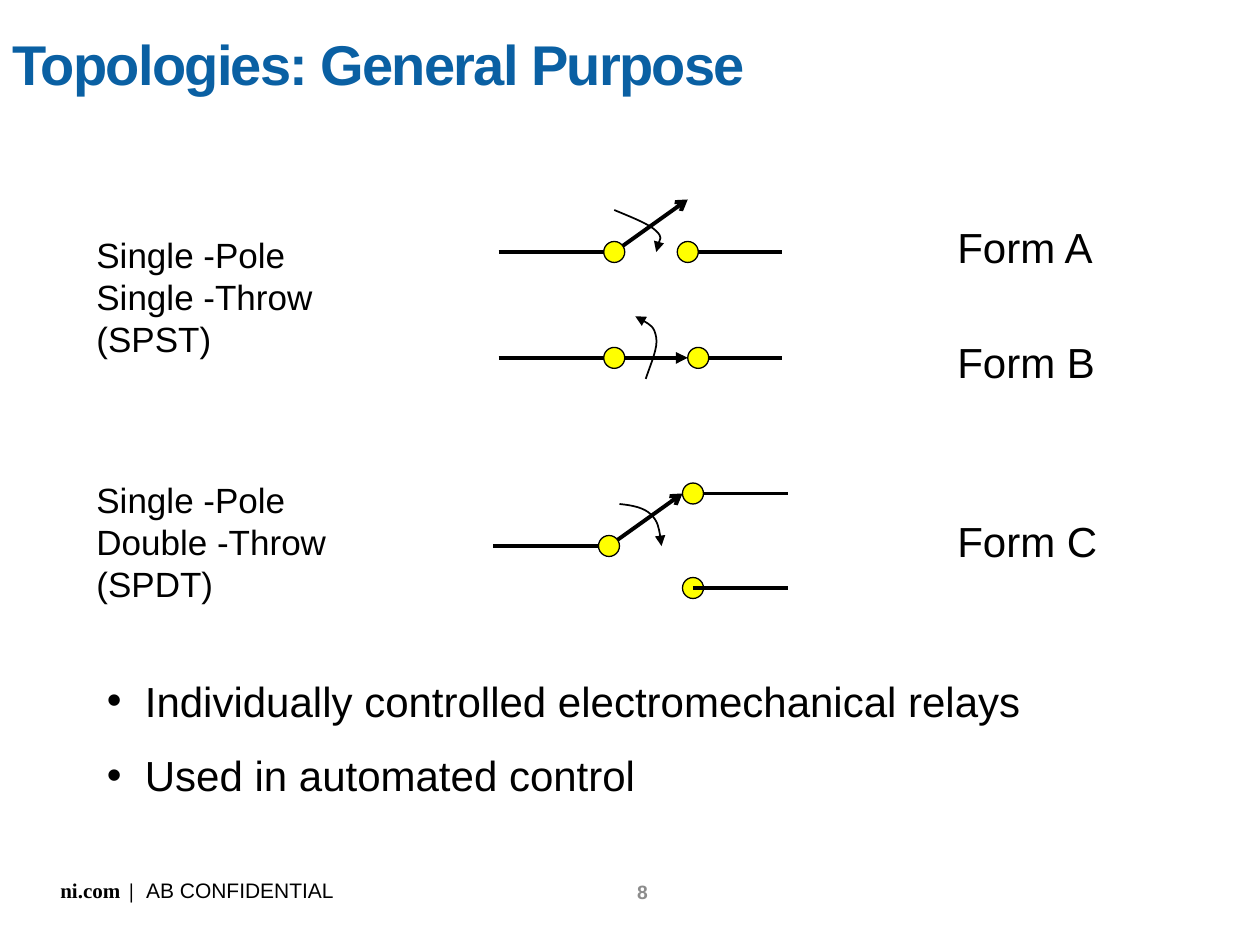
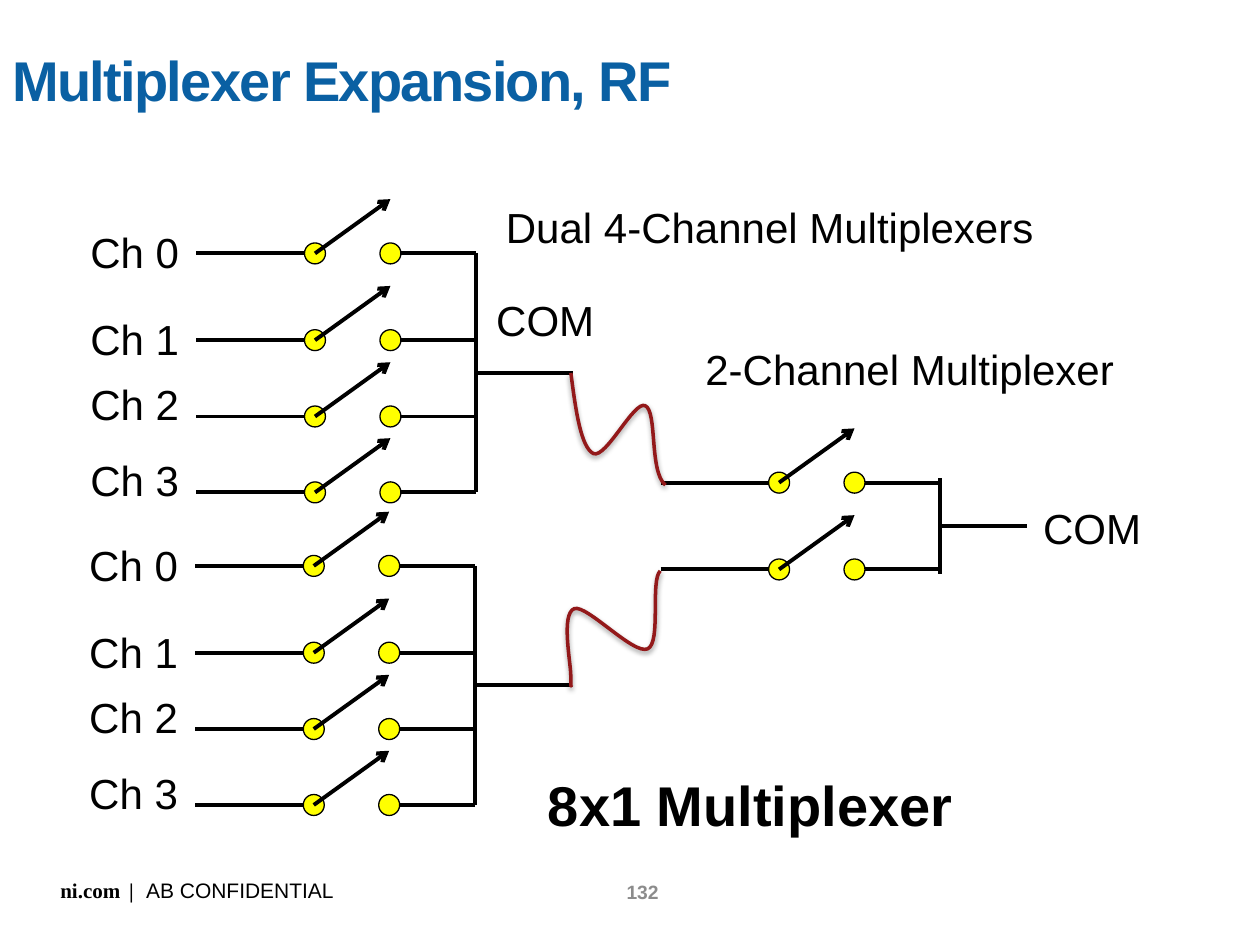
from lxml import etree
from pptx import Presentation
from pptx import util as u
from pptx.dml import color
from pptx.enum import shapes, text
from pptx.oxml import ns

BLACK, BLUE, GRAY, YELLOW, RED = "000000", "0A60A3", "8C8C8C", "FFFF00", "93191A"
BODY = {"name": "Arial", "size": 24, "bold": False, "color": BLACK}
SMALL = {**BODY, "size": 20}
HEADLINE = {**BODY, "size": 32, "bold": True}
TITLE = {**HEADLINE, "color": BLUE}
PAGE = {**BODY, "size": 11, "bold": True, "color": GRAY}
CONFIDENTIAL = {**BODY, "size": 12}
SITE = {**CONFIDENTIAL, "name": "Times New Roman", "bold": True}

WIRE, THIN, CABLE = 2.25, 1, 2
DOT = 12
INDENT = 21.7

RELAY_LABELS = [
    ("Single -Pole Single -Throw (SPST)", (48, 129.6, 162, 79), SMALL),
    ("Single -Pole Double -Throw (SPDT)", (48, 270, 162, 79), SMALL),
    ("Form A", (540, 123, 102, 36), BODY),
    ("Form B", (540, 188.6, 102, 36), BODY),
    ("Form C", (540, 291, 102, 36), BODY),
]
RELAY_NOTES = ["Individually controlled electromechanical relays", "Used in automated control"]
RELAYS = [
    {
        "wires": [(285, 144, 351, 144), (393, 144, 447, 144)],
        "arm": (351, 144, 393, 114, "arrow"),
        "dots": [(351, 144), (393, 144)],
        "motion": [(351, 120), (360.5, 124), (371, 128), (375, 132),
                   (379, 136), (375, 142), (375, 144)],
    },
    {
        "wires": [(285, 204.5, 351, 204.5), (393, 204.5, 447, 204.5)],
        "arm": (351, 204.5, 393, 204.5, "triangle"),
        "dots": [(351, 204.5), (399, 204.5)],
        "motion": [(369, 216.5), (372, 207.5), (376, 198.7), (375, 193),
                   (374, 186.5), (368.6, 183.6), (363, 180.7)],
    },
    {
        "wires": [(282, 312, 348, 312), (396, 282, 450, 282)],
        "arm": (348, 312, 390, 282, "arrow"),
        "dots": [(348, 312), (396, 282), (396, 336)],
        "top_wires": [(396, 336, 450, 336)],
        "motion": [(354, 288), (361, 288.7), (368, 290), (372, 294),
                   (376, 298), (377.3, 305), (378, 312)],
    },
]

MUX_LABELS = [
    ("Dual 4-Channel Multiplexers", (282, 111.6, 345, 36), BODY),
    ("COM", (276.5, 165, 116, 37), BODY),
    ("2-Channel Multiplexer", (396, 193, 264, 36), BODY),
    ("COM", (589, 283.7, 116, 37), BODY),
    ("8x1 Multiplexer", (306, 437, 326, 46), HEADLINE),
]
CHANNELS = [("Ch 0", 0, 18.9), ("Ch 1", 49.6, 18.7), ("Ch 2", 93.2, 25), ("Ch 3", 136.6, 25.2)]
MUXES = [
    {"left": 112.3, "top": 144.8, "channels": 4, "overhang": 0, "stub": 55.4, "labelled": True},
    {"left": 111.6, "top": 323.4, "channels": 4, "overhang": 0, "stub": 55.4, "labelled": True},
    {"left": 377.5, "top": 275.8, "channels": 2, "overhang": 2.4, "stub": 49.7, "labelled": False},
]
POLE, THROW, BUS, RISE = 67.7, 110.8, 159.8, 31
CABLES = [
    [(326.2, 213.1), (329, 234.7), (331.9, 255.6), (339.1, 259.2), (346.3, 262.1),
     (362.2, 229), (368.6, 231.8), (375.8, 234.7), (370.8, 269.3), (380.2, 277.2)],
    [(326.6, 391.5), (326.2, 392.4), (326.2, 393.1), (326.2, 385.9), (326.2, 378.7),
     (320.4, 350.6), (328.3, 347.8), (335.5, 345.6), (362.2, 374.4), (370.1, 370.8),
     (378, 367.2), (371.5, 331.9), (377.3, 326.2)],
]


def rgb(value):
    return color.RGBColor.from_string(value)


def points(values):
    return [u.Pt(value) for value in values]


def child(parent, tag, **attributes):
    return etree.SubElement(parent, ns.qn(tag), attributes)


def add_run(paragraph, words, style, spacing=0):
    run = paragraph.add_run()
    run.text = words
    values = {"name": style["name"], "size": u.Pt(style["size"]), "bold": style["bold"]}
    for name, value in values.items():
        setattr(run.font, name, value)
    run.font.color.rgb = rgb(style["color"])
    if spacing:
        run._r.get_or_add_rPr().set("spc", str(spacing))


def add_box(slide, place, wrap=True, middle=False):
    frame = slide.shapes.add_textbox(*points(place)).text_frame
    frame.word_wrap = wrap
    if middle:
        frame.vertical_anchor = text.MSO_ANCHOR.MIDDLE
    return frame


def add_labels(slide, labels):
    for words, place, style in labels:
        add_run(add_box(slide, place).paragraphs[0], words, style)


def add_bullets(slide, place, items):
    frame = add_box(slide, place)
    for index, words in enumerate(items):
        paragraph = frame.add_paragraph() if index else frame.paragraphs[0]
        if index:
            paragraph.space_before = u.Pt(13.8)
        properties = paragraph._p.get_or_add_pPr()
        properties.set("marL", str(u.Pt(INDENT)))
        properties.set("indent", str(-u.Pt(INDENT)))
        child(properties, "a:buFont", typeface="Arial")
        child(properties, "a:buChar", char="•")
        add_run(paragraph, words, BODY)


def style_line(shape, width, shade=BLACK, head=None):
    shape.line.color.rgb = rgb(shade)
    shape.line.width = u.Pt(width)
    if head:
        child(shape._element.spPr.find(ns.qn("a:ln")), "a:tailEnd", type=head)


def add_wire(slide, x1, y1, x2, y2, head=None):
    wire = slide.shapes.add_connector(shapes.MSO_CONNECTOR.STRAIGHT, *points((x1, y1, x2, y2)))
    style_line(wire, WIRE, head=head)
    child(wire._element.spPr, "a:effectLst")


def add_dot(slide, x, y):
    place = points((x - DOT / 2, y - DOT / 2, DOT, DOT))
    dot = slide.shapes.add_shape(shapes.MSO_SHAPE.OVAL, *place)
    dot.shadow.inherit = False
    dot.fill.solid()
    dot.fill.fore_color.rgb = rgb(YELLOW)
    style_line(dot, 0.75)


def add_curve(slide, knots, width, shade=BLACK, head=None):
    start, *rest = [points(knot) for knot in knots]
    builder = slide.shapes.build_freeform(*start)
    builder.add_line_segments(rest, close=False)
    curve = builder.convert_to_shape()
    segments = list(curve._element.spPr.iter(ns.qn("a:lnTo")))
    outline = segments[0].getparent()
    for first in range(0, len(segments), 3):
        bezier = child(outline, "a:cubicBezTo")
        for segment in segments[first:first + 3]:
            bezier.append(segment[0])
            outline.remove(segment)
    curve.fill.background()
    curve.shadow.inherit = False
    style_line(curve, width, shade, head)
    return curve


def add_cable(slide, knots):
    cable = add_curve(slide, knots, CABLE, RED)
    effects = cable._element.spPr.find(ns.qn("a:effectLst"))
    shadow = child(effects, "a:outerShdw", blurRad=str(u.Pt(3.1)), dist=str(u.Pt(1.6)),
                   dir="5400000", rotWithShape="0")
    child(child(shadow, "a:srgbClr", val=BLACK), "a:alpha", val="38000")


def add_relay(slide, relay):
    for wire in [*relay["wires"], relay["arm"]]:
        add_wire(slide, *wire)
    for dot in relay["dots"]:
        add_dot(slide, *dot)
    for wire in relay.get("top_wires", []):
        add_wire(slide, *wire)
    add_curve(slide, relay["motion"], THIN, head="triangle")


def add_mux(slide, mux):
    left, top, overhang = mux["left"], mux["top"], mux["overhang"]
    pole, throw, bus = left + POLE, left + THROW, left + BUS
    channels = CHANNELS[:mux["channels"]]
    for label, offset, lift in channels:
        y = top + offset
        add_wire(slide, left, y, pole, y)
        add_wire(slide, throw, y, bus, y)
        add_dot(slide, pole, y)
        add_dot(slide, throw, y)
        add_wire(slide, pole, y, throw, y - RISE, "arrow")
        if mux["labelled"]:
            add_labels(slide, [(label, (left - POLE, y - lift, 80, 37), BODY)])
    bottom = top + channels[-1][1]
    middle = (top + bottom) / 2
    add_wire(slide, bus, top - overhang, bus, bottom + overhang)
    add_wire(slide, bus, middle, bus + mux["stub"], middle)


def add_slide(presentation, title, title_height, number):
    slide = presentation.slides.add_slide(presentation.slide_layouts[6])
    page = add_box(slide, (346.3, 499.7, 41.8, 20.2), middle=True).paragraphs[0]
    page.alignment = text.PP_ALIGN.CENTER
    add_run(page, number, PAGE)
    footer = add_box(slide, (27.4, 498.2, 170.6, 21.6), wrap=False).paragraphs[0]
    add_run(footer, "ni.com", SITE)
    add_run(footer, " | ", SITE, 200)
    add_run(footer, "AB CONFIDENTIAL", CONFIDENTIAL)
    heading = add_box(slide, (0, 0, 612, title_height), middle=True).paragraphs[0]
    add_run(heading, title, TITLE, -100)
    return slide


def main():
    presentation = Presentation()
    presentation.slide_width, presentation.slide_height = points((720, 540))

    slide = add_slide(presentation, "Topologies: General Purpose", 72, "8")
    add_bullets(slide, (54, 382.3, 613, 80), RELAY_NOTES)
    add_labels(slide, RELAY_LABELS)
    for relay in RELAYS:
        add_relay(slide, relay)

    slide = add_slide(presentation, "Multiplexer Expansion, RF", 90, "132")
    for mux in MUXES:
        add_mux(slide, mux)
    for knots in CABLES:
        add_cable(slide, knots)
    add_labels(slide, MUX_LABELS)

    presentation.save("out.pptx")


if __name__ == "__main__":
    main()
